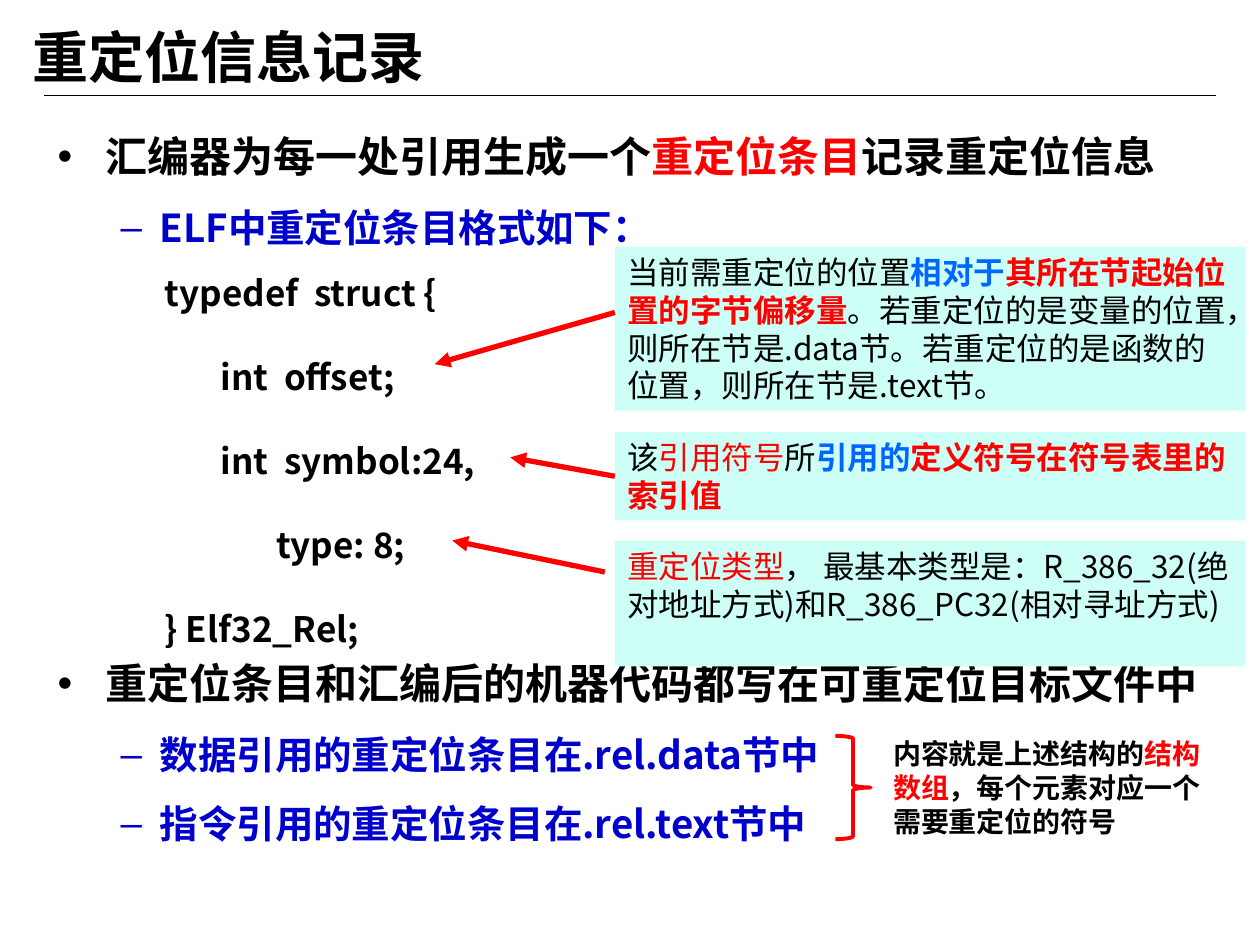
"""Build the slide on relocation records in ELF object files."""
from dataclasses import dataclass

from lxml.etree import SubElement
from pptx import Presentation
from pptx.dml.color import RGBColor
from pptx.enum.shapes import MSO_CONNECTOR as Connector, MSO_SHAPE as Shape
from pptx.enum.text import MSO_ANCHOR as Anchor
from pptx.oxml.ns import qn
from pptx.util import Inches, Pt


@dataclass(frozen=True)
class Theme:
    font: str = "Noto Sans CJK SC"
    plain_font: str = "Arial"
    black: str = "000000"
    white: str = "FFFFFF"
    red: str = "FF0000"
    navy: str = "0000CC"
    blue: str = "0066FF"
    mint: str = "CDFFF7"
    title: int = 32
    point: int = 24
    subpoint: int = 22
    code: int = 20
    callout: int = 18
    note: int = 16
    rule: float = 0.75
    brace: float = 2.25
    arrow: float = 3


THEME = Theme()
COLUMNS, ROWS = 100, 75
SLIDE_WIDTH, SLIDE_HEIGHT = Inches(10), Inches(7.5)
CALLOUT_LEFT, CALLOUT_WIDTH = 48.8, 50

TITLE = [("重定位信息记录", THEME.black, True)]
INTRO = [
    (0, [("汇编器为每一处引用生成一个", THEME.black, True),
         ("重定位条目", THEME.red, True),
         ("记录重定位信息", THEME.black, True)]),
    (1, [("ELF中重定位条目格式如下：", THEME.navy, True)]),
]
CODE = [
    "typedef  struct {",
    "       int  offset;",
    "       int  symbol:24,",
    "              type: 8;",
    "} Elf32_Rel;",
]
STORAGE = [
    (0, [("重定位条目和汇编后的机器代码都写在可重定位目标文件中", THEME.black, True)]),
    (1, [("数据引用的重定位条目在.rel.data节中", THEME.navy, True)]),
    (1, [("指令引用的重定位条目在.rel.text节中", THEME.navy, True)]),
]
CALLOUTS = [
    {"top": 19.6, "height": 13, "start": (48.8, 24.8), "end": (34.5, 28.9), "joined": False,
     "runs": [("当前需重定位的位置", THEME.black, False),
              ("相对于", THEME.blue, True),
              ("其所在节起始位置的字节偏移量", THEME.red, True),
              ("。若重定位的是变量的位置，则所在节是.data节。"
               "若重定位的是函数的位置，则所在节是.text节。", THEME.black, False)]},
    {"top": 34.3, "height": 7, "start": (48.8, 37.6), "end": (40.5, 36.3), "joined": True,
     "runs": [("该", THEME.black, False),
              ("引用符号", THEME.red, False),
              ("所", THEME.black, False),
              ("引用的", THEME.blue, True),
              ("定义符号在符号表里的索引值", THEME.red, True)]},
    {"top": 42.9, "height": 10, "start": (48, 45.4), "end": (35.9, 42.9), "joined": False,
     "runs": [("重定位类型", THEME.red, False),
              ("， 最基本类型是：R_386_32(绝对地址方式)和R_386_PC32(相对寻址方式)",
               THEME.black, False)]},
]
NOTE = [("内容就是上述结构的", THEME.black, True),
        ("结构数组", THEME.red, True),
        ("，每个元素对应一个需要重定位的符号", THEME.black, True)]
LEVELS = [
    {"margin": 0.38, "indent": -0.38, "bullet": "•", "color": THEME.black, "size": THEME.point},
    {"margin": 0.81, "indent": -0.31, "bullet": "–", "color": THEME.navy, "size": THEME.subpoint},
]


def color(value):
    return RGBColor.from_string(value)


def grid(column, row):
    return round(SLIDE_WIDTH * column / COLUMNS), round(SLIDE_HEIGHT * row / ROWS)


def area(left, top, width, height):
    return *grid(left, top), *grid(width, height)


def add_runs(paragraph, runs, size, font=THEME.font):
    for text, run_color, bold in runs:
        run = paragraph.add_run()
        run.text = text
        run.font.name = font
        run.font.size = Pt(size)
        run.font.bold = bold
        run.font.color.rgb = color(run_color)
        SubElement(run.font._element, qn("a:ea"), typeface=THEME.font)


def add_text_box(slide, place):
    frame = slide.shapes.add_textbox(*area(*place)).text_frame
    frame.word_wrap = True
    return frame


def paragraphs(frame, items):
    for index, item in enumerate(items):
        yield (frame.add_paragraph() if index else frame.paragraphs[0]), item


def add_bullets(slide, place, items, first_spacing, first_font):
    frame = add_text_box(slide, place)
    for paragraph, (level, runs) in paragraphs(frame, items):
        style = LEVELS[level]
        paragraph.level = level
        paragraph.line_spacing = 1.5 if level else first_spacing
        properties = paragraph._p.get_or_add_pPr()
        properties.set("marL", str(Inches(style["margin"])))
        properties.set("indent", str(Inches(style["indent"])))
        bullet_color = SubElement(properties, qn("a:buClr"))
        SubElement(bullet_color, qn("a:srgbClr"), val=style["color"])
        SubElement(properties, qn("a:buFont"), typeface=THEME.plain_font)
        SubElement(properties, qn("a:buChar"), char=style["bullet"])
        add_runs(paragraph, runs, style["size"], THEME.font if level else first_font)


def add_panel(slide, place, fill, runs, size):
    panel = slide.shapes.add_shape(Shape.RECTANGLE, *area(*place))
    panel.shadow.inherit = False
    panel.fill.solid()
    panel.fill.fore_color.rgb = color(fill)
    panel.line.fill.background()
    frame = panel.text_frame
    frame.word_wrap = True
    frame.vertical_anchor = Anchor.TOP
    paragraph = frame.paragraphs[0]
    paragraph.alignment = 1
    add_runs(paragraph, runs, size)
    return panel


def add_line(slide, start, end, line_color, width):
    line = slide.shapes.add_connector(Connector.STRAIGHT, *grid(*start), *grid(*end))
    line.line.color.rgb = color(line_color)
    line.line.width = Pt(width)
    SubElement(line._element.spPr, qn("a:effectLst"))
    return line


def add_arrow(slide, callout, panel):
    arrow = add_line(slide, callout["start"], callout["end"], THEME.red, THEME.arrow)
    SubElement(arrow.line._get_or_add_ln(), qn("a:tailEnd"), type="triangle")
    if callout["joined"]:
        arrow.begin_connect(panel, 1)


def main():
    presentation = Presentation()
    presentation.slide_width, presentation.slide_height = SLIDE_WIDTH, SLIDE_HEIGHT
    slide = presentation.slides.add_slide(presentation.slide_layouts[6])

    add_line(slide, (3.5, 7.6), (96.5, 7.6), THEME.black, THEME.rule)
    title = add_text_box(slide, (1.6, 1.4, 90, 6.1))
    title.vertical_anchor = Anchor.MIDDLE
    add_runs(title.paragraphs[0], TITLE, THEME.title)

    add_bullets(slide, (3.6, 7.9, 93.2, 46.2), INTRO, 1.5, THEME.font)
    code = add_text_box(slide, (12.1, 17.7, 30.3, 34.4))
    for paragraph, text in paragraphs(code, CODE):
        paragraph.line_spacing = 2.0
        add_runs(paragraph, [(text, THEME.black, True)], THEME.code)
    add_bullets(slide, (3.6, 51.7, 92.9, 16), STORAGE, 1.0, THEME.plain_font)

    panels = [add_panel(slide, (CALLOUT_LEFT, item["top"], CALLOUT_WIDTH, item["height"]),
                        THEME.mint, item["runs"], THEME.callout) for item in CALLOUTS]
    for callout, panel in zip(CALLOUTS, panels):
        add_arrow(slide, callout, panel)

    add_panel(slide, (69.9, 58, 26.4, 9), THEME.white, NOTE, THEME.note)
    brace = slide.shapes.add_shape(Shape.RIGHT_BRACE, *area(66.3, 58.4, 2.8, 8.2))
    brace.shadow.inherit = False
    brace.fill.background()
    brace.line.color.rgb = color(THEME.red)
    brace.line.width = Pt(THEME.brace)

    presentation.save("out.pptx")


if __name__ == "__main__":
    main()
